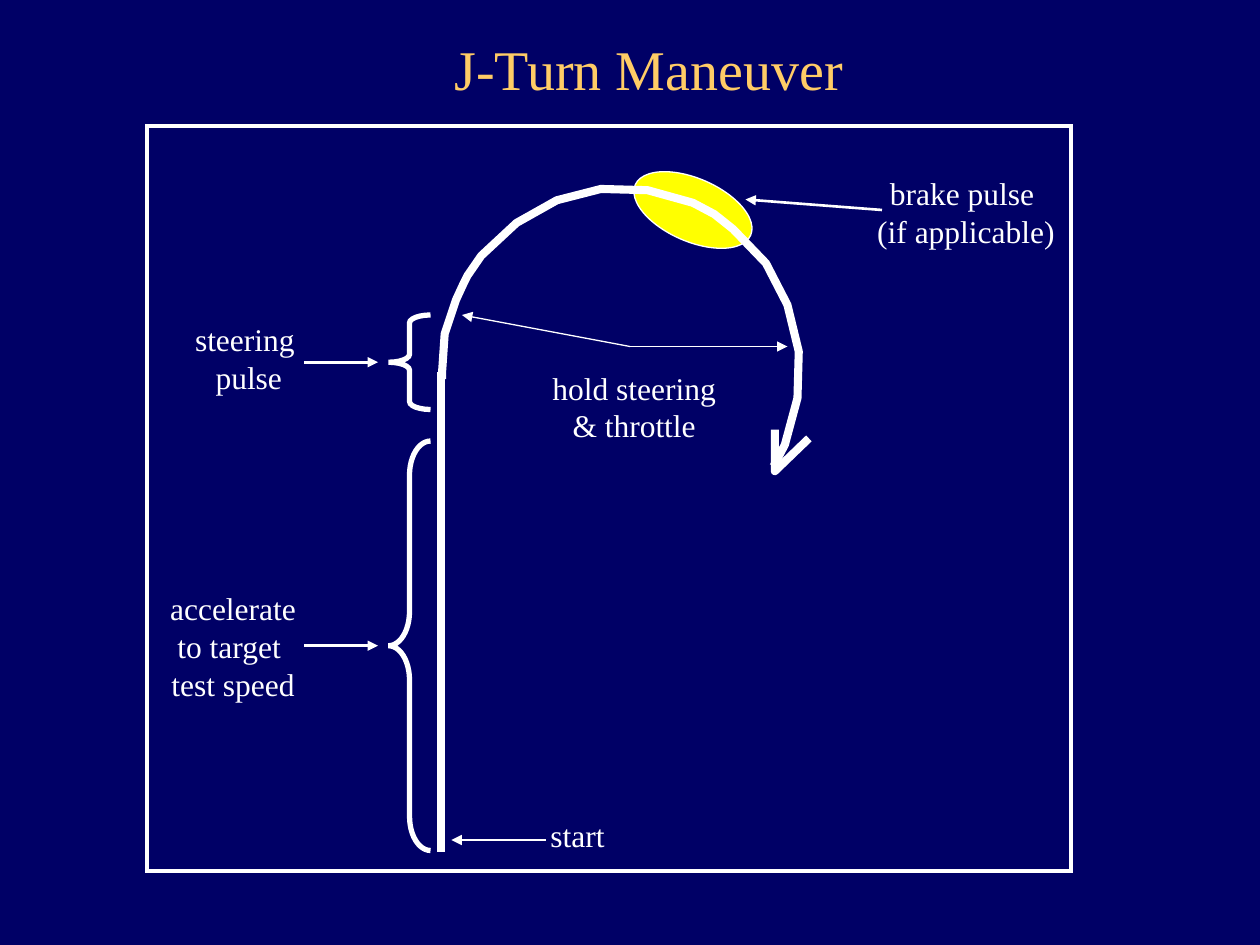
from typing import NamedTuple

from lxml.etree import SubElement
from pptx import Presentation
from pptx.dml.color import RGBColor
from pptx.enum.shapes import MSO_CONNECTOR, MSO_SHAPE
from pptx.enum.text import MSO_ANCHOR, PP_ALIGN
from pptx.oxml.ns import qn
from pptx.util import Inches, Pt

NAVY, GOLD, WHITE, YELLOW = "000066", "FFCC66", "FFFFFF", "FFFF00"
FONT = "Times New Roman"
TRACK_WIDTH = 4.62


class Label(NamedTuple):
    lines: list[str]
    left: float
    top: float
    width: float
    height: float


class Arrow(NamedTuple):
    start: tuple[float, float]
    tip: tuple[float, float]
    weight: float


class Brace(NamedTuple):
    top: float
    height: float
    curl: float


# Positions count cells of a grid with 12 cells to the inch
LABELS = [
    Label(["start"], 51, 77.1, 8, 4.8),
    Label(["steering ", "pulse"], 17, 29.9, 13.4, 8.4),
    Label(["brake pulse ", "(if applicable)"], 82, 16, 20, 8.4),
    Label(["hold steering", "& throttle"], 51.4, 34.5, 18, 8.4),
    Label(["accelerate", "to target ", "test speed"], 15, 55.5, 14.4, 12),
]
ARROWS = [
    Arrow((52, 80), (43, 80), 1.5),
    Arrow((29, 34.5), (36, 34.5), 1.5),
    Arrow((29, 61.5), (36, 61.5), 1.5),
    Arrow((84, 20), (71, 19), 1.5),
    Arrow((60, 33), (44, 30), 0.75),
    Arrow((60, 33), (75, 33), 0.75),
]
BRACES = [Brace(30, 9, 0.19), Brace(42, 39, 0.81)]

# Driven path, in hundredths of an inch
TURN = [
    (614, 370), (623, 353), (633, 316), (634, 279), (625, 242),
    (608, 209), (582, 182), (567, 170), (550, 161), (514, 151),
    (477, 150), (442, 159), (410, 177), (382, 203), (371, 219),
    (368, 225), (362, 238), (353, 265), (351, 294), (351, 301),
]
TURN_TIP = [(615, 341), (615, 374), (642, 348)]


def cells(count: float) -> int:
    return Inches(count / 12)


def color(code: str) -> RGBColor:
    return RGBColor.from_string(code)


def style_line(line, weight: float) -> None:
    line.color.rgb = color(WHITE)
    line.width = Pt(weight)


def style_text(run, size: float, code: str) -> None:
    run.font.name = FONT
    run.font.size = Pt(size)
    run.font.color.rgb = color(code)


def draw_shape(slide, kind, left, top, width, height, weight, fill=None):
    shape = slide.shapes.add_shape(
        kind, cells(left), cells(top), cells(width), cells(height))
    shape.shadow.inherit = False
    if fill:
        shape.fill.solid()
        shape.fill.fore_color.rgb = color(fill)
    else:
        shape.fill.background()
    style_line(shape.line, weight)
    # Sharp corners
    SubElement(shape.line._get_or_add_ln(), qn("a:miter"), lim="800000")
    return shape


def draw_line(slide, start, end, weight: float):
    line = slide.shapes.add_connector(
        MSO_CONNECTOR.STRAIGHT, *map(cells, (*start, *end)))
    style_line(line.line, weight)
    SubElement(line._element.spPr, qn("a:effectLst"))
    return line


def draw_arrow(slide, arrow: Arrow) -> None:
    line = draw_line(slide, arrow.start, arrow.tip, arrow.weight)
    SubElement(line.line._get_or_add_ln(), qn("a:tailEnd"), type="triangle")


def draw_track(slide, points: list[tuple[int, int]]) -> None:
    builder = slide.shapes.build_freeform(*points[0], scale=Inches(0.01))
    builder.add_line_segments(points[1:], close=False)
    track = builder.convert_to_shape()
    track.shadow.inherit = False
    track.fill.background()
    style_line(track.line, TRACK_WIDTH)


def draw_label(slide, label: Label) -> None:
    box = slide.shapes.add_textbox(*map(cells, label[1:]))
    frame = box.text_frame
    frame.word_wrap = False
    frame.vertical_anchor = MSO_ANCHOR.MIDDLE
    paragraph = frame.paragraphs[0]
    paragraph.alignment = PP_ALIGN.CENTER
    for index, text in enumerate(label.lines):
        if index:
            paragraph.add_line_break()
        run = paragraph.add_run()
        run.text = text
        style_text(run, 18, WHITE)


def draw_title(slide, text: str) -> None:
    title = slide.shapes.title
    title.left, title.top = Inches(0.9), Inches(0.25)
    title.width, title.height = Inches(8.5), Inches(0.58)
    title.text_frame.vertical_anchor = MSO_ANCHOR.MIDDLE
    paragraph = title.text_frame.paragraphs[0]
    paragraph.alignment = PP_ALIGN.CENTER
    run = paragraph.add_run()
    run.text = text
    style_text(run, 32, GOLD)


def main() -> None:
    deck = Presentation()
    deck.slide_width, deck.slide_height = Inches(10), Inches(7.5)
    slide = deck.slides.add_slide(deck.slide_layouts[5])
    slide.background.fill.solid()
    slide.background.fill.fore_color.rgb = color(NAVY)

    # Title and frame
    draw_title(slide, "J-Turn Maneuver")
    draw_shape(slide, MSO_SHAPE.RECTANGLE, 14, 12, 88, 71, 2.25)

    # Brake zone under the driven path
    brake_zone = draw_shape(slide, MSO_SHAPE.OVAL, 63, 14, 6, 12, 0.75, YELLOW)
    brake_zone.rotation = 293.6
    draw_track(slide, TURN)
    draw_line(slide, (42, 35.4), (42, 81.1), TRACK_WIDTH)
    draw_track(slide, TURN_TIP)

    # Phases of the maneuver
    for brace in BRACES:
        bracket = draw_shape(
            slide, MSO_SHAPE.LEFT_BRACE, 37, brace.top, 4, brace.height, 3)
        bracket.adjustments[0] = brace.curl
    for arrow in ARROWS:
        draw_arrow(slide, arrow)
    for label in LABELS:
        draw_label(slide, label)

    deck.save("out.pptx")


if __name__ == "__main__":
    main()
